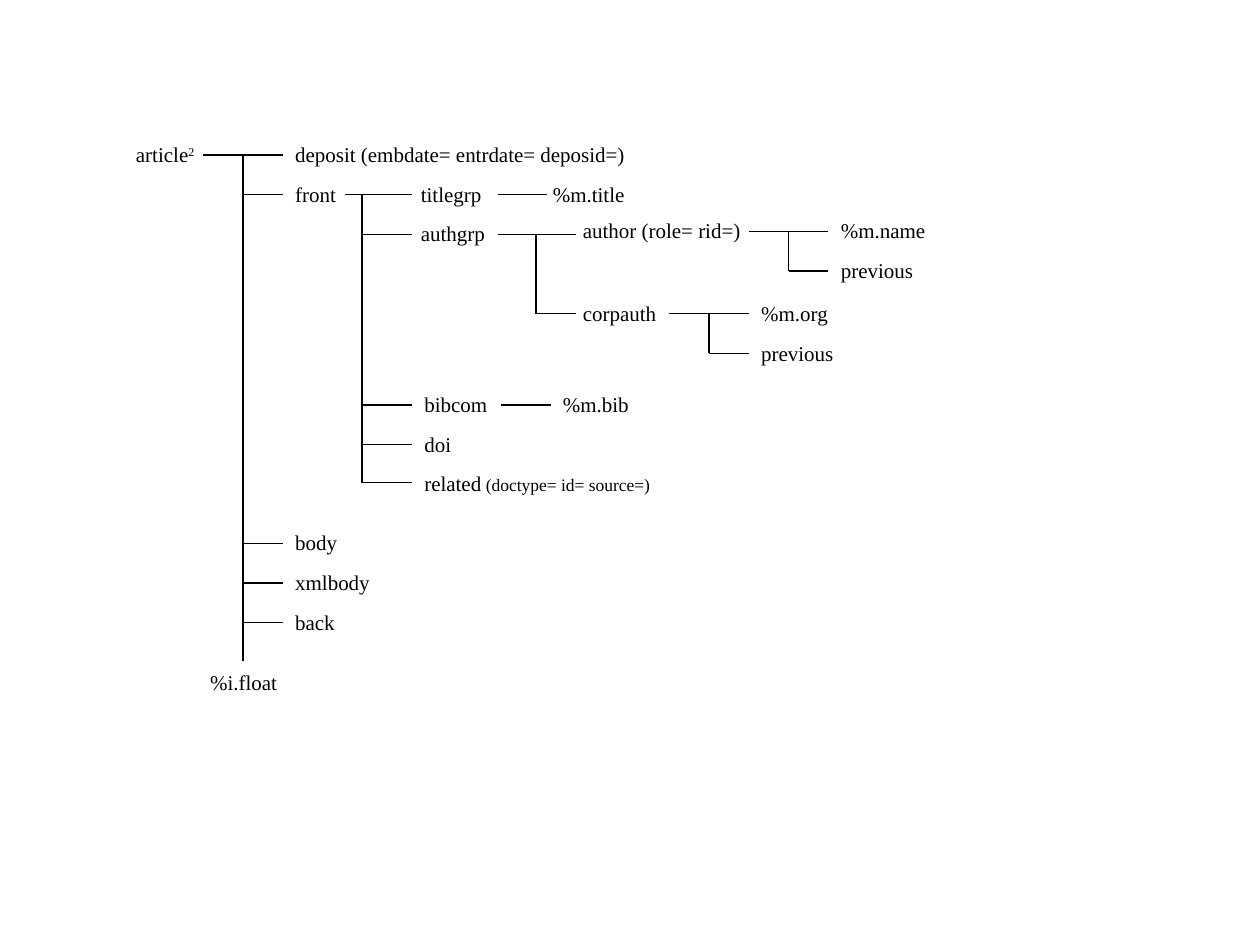
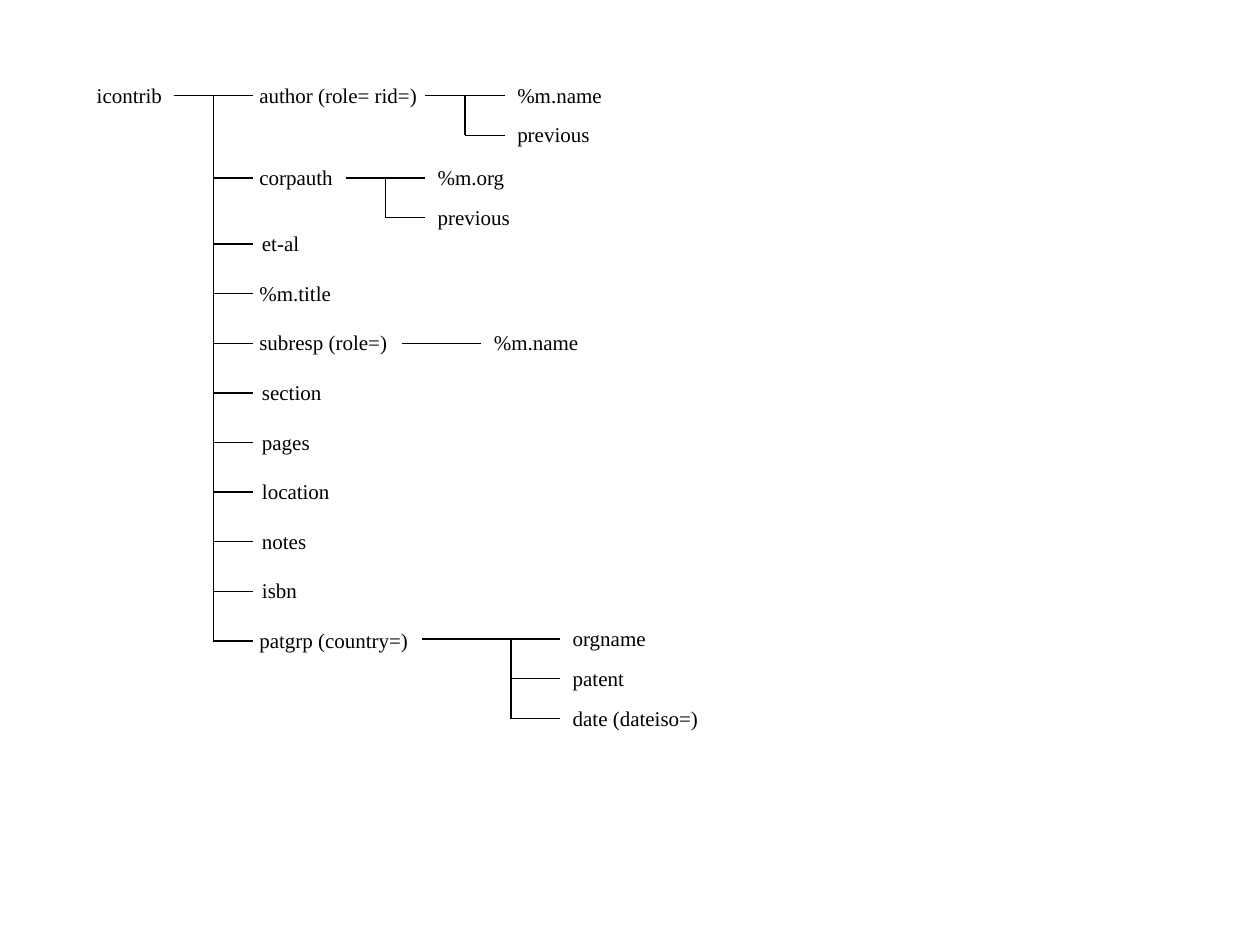
from lxml import etree
from pptx import Presentation
from pptx.dml.color import RGBColor
from pptx.enum.shapes import MSO_CONNECTOR
from pptx.enum.text import MSO_AUTO_SIZE, PP_ALIGN
from pptx.oxml.ns import qn
from pptx.util import Pt

STRAIGHT = MSO_CONNECTOR.STRAIGHT
GROW = MSO_AUTO_SIZE.SHAPE_TO_FIT_TEXT
LEFT, CENTER = PP_ALIGN.LEFT, PP_ALIGN.CENTER

BLACK = RGBColor(0, 0, 0)
FONT = "Times New Roman"
TEXT_SIZE = 12
NOTE_SIZE = 10
LABEL_HEIGHT = 21.6
LABEL_RISE = 11.2
ROW = 22.7
LIST_ROW = 28.35
STEM = 22.7
REACH = 45.4


def add_line(page, x1, y1, x2, y2):
    line = page.shapes.add_connector(STRAIGHT, Pt(x1), Pt(y1), Pt(x2), Pt(y2))
    line.line.color.rgb = BLACK
    line.line.width = Pt(0.75)
    etree.SubElement(line._element.spPr, qn("a:effectLst"))


def add_span(para, text, size=TEXT_SIZE):
    span = para.add_run()
    span.text = text
    span.font.name = FONT
    span.font.size = Pt(size)
    span.font.color.rgb = BLACK
    return span


def add_label(page, left, row_y, width, text, align=LEFT):
    box = page.shapes.add_textbox(Pt(left), Pt(row_y - LABEL_RISE), Pt(width), Pt(LABEL_HEIGHT))
    frame = box.text_frame
    frame.word_wrap = True
    frame.auto_size = GROW
    para = frame.paragraphs[0]
    para.alignment = align
    add_span(para, text)
    return para


def add_labels(page, left, top, labels):
    for drop, width, text in labels:
        add_label(page, left, top + drop, width, text)


def add_fork(page, left, top, drops, stem=STEM, reach=REACH, trunk=None):
    add_line(page, left, top, left + reach, top)
    add_line(page, left + stem, top, left + stem, top + (trunk or drops[-1]))
    for drop in drops:
        add_line(page, left + stem, top + drop, left + reach, top + drop)


def add_contributors(page, left, top):
    corpauth_top = top + 47.1
    add_label(page, left, top, 108, "author (role= rid=)")
    add_label(page, left, corpauth_top, 57.5, "corpauth")
    for fork_left, fork_top, name in (
        (left + 102, top, "%m.name"),
        (left + 56.5, corpauth_top, "%m.org"),
    ):
        add_fork(page, fork_left, fork_top, [ROW])
        add_labels(page, fork_left + REACH, fork_top, [(0, 68.4, name), (ROW, 68.4, "previous")])


def add_front(page, left, top):
    bibcom_drop = 120.2
    add_fork(page, left, top, [ROW, bibcom_drop, bibcom_drop + ROW, 164.7], stem=9.5, reach=38)
    add_labels(page, left + 36, top, [(0, 51.5, "titlegrp"), (ROW, 57, "authgrp")])
    add_labels(page, left + 38, top, [(bibcom_drop, 51.5, "bibcom"), (bibcom_drop + ROW, 39.6, "doi")])
    related = add_label(page, left + 38, top + bibcom_drop + 2 * ROW, 187, "related")
    add_span(related, " (doctype= id= source=)", NOTE_SIZE)

    add_line(page, left + 86.9, top, left + 115, top)
    add_label(page, left + 111.4, top, 68.4, "%m.title")
    add_line(page, left + 89, top + bibcom_drop, left + 117.2, top + bibcom_drop)
    add_label(page, left + 117.2, top + bibcom_drop, 68.4, "%m.bib")

    add_fork(page, left + 86.9, top + ROW, [2 * ROW], stem=22, reach=45)
    add_contributors(page, left + 128.6, top + ROW - 1.7)


def add_article_tree(page, left, top):
    body_drop = 222
    tail_drops = [body_drop + step * ROW for step in range(3)]
    article = add_label(page, left, top, 51.5, "article")
    add_span(article, "2")._r.get_or_add_rPr().set("baseline", "30000")
    add_fork(page, left + 45.6, top, [ROW] + tail_drops, trunk=289.4)
    names = ["body", "xmlbody", "back"]
    add_labels(
        page, left + 91, top,
        [(0, 300, "deposit (embdate= entrdate= deposid=)"), (ROW, 40, "front")]
        + [(drop, 68.4, name) for drop, name in zip(tail_drops, names)],
    )
    add_label(page, left + 34.4, top + 301.6, 68.4, "%i.float", CENTER)
    add_front(page, left + 126.8, top + ROW)


def add_patent_group(page, left, top):
    drops = [step * ROW for step in range(3)]
    add_fork(page, left, top, drops[1:], stem=51, reach=79.2)
    names = ["orgname", "patent", "date (dateiso=)"]
    add_labels(page, left + 79.2, top, [(drop, 91, name) for drop, name in zip(drops, names)])


def add_icontrib_tree(page, left, top):
    plain, wide = left + 94.4, left + 92.9
    elements = [
        (plain, 57, "et-al"),
        (wide, 65.5, "%m.title"),
        (wide, 100.5, "subresp (role=)"),
        (plain, 57, "section"),
        (plain, 57, "pages"),
        (plain, 57, "location"),
        (plain, 57, "notes"),
        (plain, 57, "isbn"),
        (wide, 100.5, "patgrp (country=)"),
    ]
    drops = [84.9 + step * LIST_ROW for step in range(len(elements))]
    add_label(page, left, top, 57, "icontrib")
    add_fork(page, left + 51, top, [47.1] + drops)
    add_contributors(page, wide, top)
    for drop, (label_left, width, text) in zip(drops, elements):
        add_label(page, label_left, top + drop, width, text)

    subresp_y = top + drops[2]
    add_line(page, left + 181.5, subresp_y, left + 226.9, subresp_y)
    add_label(page, left + 226.9, subresp_y, 68.4, "%m.name")
    add_patent_group(page, left + 192.8, top + drops[-1] - 1.1)


def main():
    deck = Presentation()
    deck.slide_width, deck.slide_height = Pt(720), Pt(540)
    blank = deck.slide_layouts[6]
    add_article_tree(deck.slides.add_slide(blank), 70.6, 88.5)
    add_icontrib_tree(deck.slides.add_slide(blank), 48.2, 54.6)
    deck.save("out.pptx")


if __name__ == "__main__":
    main()
